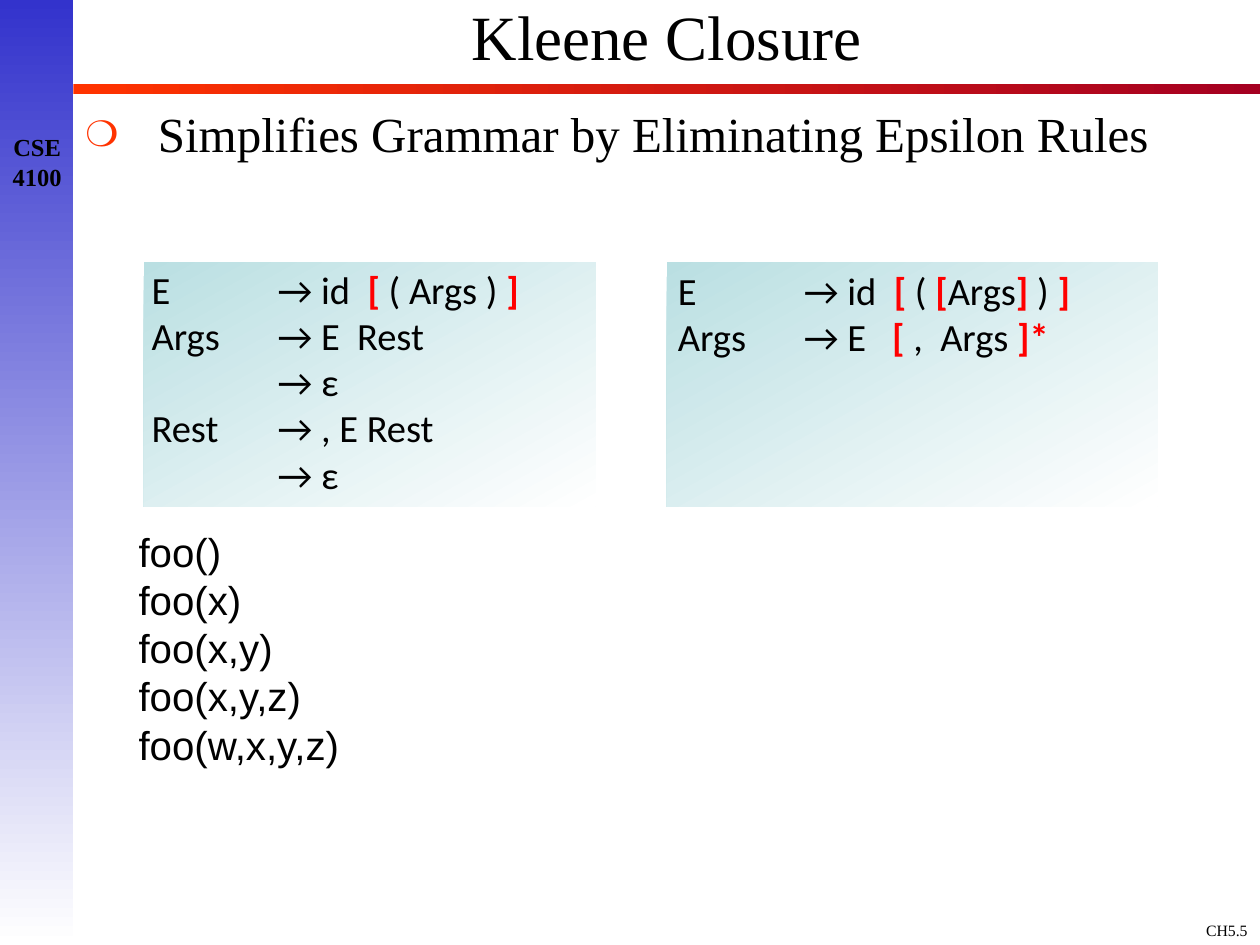
from dataclasses import dataclass
from typing import Any, Optional

from lxml.etree import SubElement
from pptx import Presentation
from pptx.dml.color import RGBColor as Color
from pptx.enum.shapes import MSO_SHAPE as Preset
from pptx.enum.text import MSO_ANCHOR as Anchor, MSO_AUTO_SIZE as AutoSize, PP_ALIGN as Align
from pptx.oxml.ns import qn
from pptx.util import Pt


@dataclass(frozen=True)
class Theme:
    """Colours, fonts and type sizes of the slide."""
    ink: str = "000000"
    accent: str = "FF0000"
    bullet: str = "FF3300"
    rule: tuple = ("FF3300", "A50021")
    sidebar: tuple = ("3333CC", "FFFFFF")
    panel: tuple = ("BADFE2", "FFFFFF")
    serif: str = "Times New Roman"
    grammar_font: str = "Calibri"
    sample_font: str = "Arial"
    title: float = 36
    body: float = 28
    sample: float = 23
    grammar: float = 22
    course: float = 14
    footer: float = 9


@dataclass(frozen=True)
class Box:
    """A rectangle in points."""
    left: float
    top: float
    width: float
    height: float

    def lengths(self) -> list:
        """Return the four lengths for a python-pptx call."""
        return [Pt(value) for value in (self.left, self.top, self.width, self.height)]


@dataclass(frozen=True)
class Band:
    """A rectangle filled with a two-colour gradient."""
    box: Box
    colors: tuple
    angle: float


@dataclass(frozen=True)
class Label:
    """Lines of text in which every second piece between bars is accented."""
    box: Box
    lines: tuple
    font: str
    size: float
    align: Align = Align.LEFT
    margins: tuple = (0, 0, 0, 0)
    indent: float = 0
    hanging: float = 0
    tabs: tuple = ()
    bullet: Optional[str] = None
    spacing: Any = None
    anchor: Anchor = Anchor.TOP


THEME = Theme()
INSETS = (7.2, 3.6, 7.2, 3.6)
GRAMMAR = {"font": THEME.grammar_font, "size": THEME.grammar,
           "margins": (0, 0, 2.9, 0), "indent": 2.9, "tabs": (0, 23, 64.8, 129.6)}

BANDS = (
    Band(Box(42, 48, 678, 6), THEME.rule, 0),
    Band(Box(0, 0, 41.8, 540), THEME.sidebar, 270),
    Band(Box(380.9, 149.8, 280.8, 139.7), THEME.panel, 299),
    Band(Box(82.1, 149.8, 258.5, 139.7), THEME.panel, 299),
)

TITLE = Label(Box(42, 0, 678, 48), ("Kleene Closure",), THEME.serif, THEME.title,
              Align.CENTER, INSETS, spacing=0.8, anchor=Anchor.MIDDLE)

LABELS = (
    Label(Box(637.2, 522.7, 82.8, 17.3), ("CH5.5",), THEME.serif, THEME.footer,
          Align.RIGHT, INSETS),
    Label(Box(0, 72, 42.5, 41), ("CSE", "4100"), THEME.serif, THEME.course,
          Align.CENTER, (0, 3.6, 0, 3.6)),
    Label(Box(42, 59.8, 678, 449), ("Simplifies Grammar by Eliminating Epsilon Rules",),
          THEME.serif, THEME.body, margins=INSETS, indent=41.2, hanging=41.2, bullet="❍",
          spacing=0.89),
    Label(Box(384.5, 152.6, 273.6, 59),
          ("E\t\t→ id  |[| ( |[|Args|]| ) |]", "Args\t→ E   |[ |,  Args |]*"), **GRAMMAR),
    Label(Box(83.8, 151.9, 241.9, 136),
          ("E\t\t→ id  |[| ( Args ) |]", "Args\t→ E  Rest", "\t\t→ ε",
           "Rest\t→ , E Rest", "\t\t→ ε"), **GRAMMAR),
    Label(Box(79.2, 301, 118, 138.2),
          ("foo()", "foo(x)", "foo(x,y)", "foo(x,y,z)", "foo(w,x,y,z)"),
          THEME.sample_font, THEME.sample, spacing=Pt(27.6)),
)


def apply_format(target: Any, values: dict) -> None:
    """Set each named attribute on the target."""
    for name, value in values.items():
        setattr(target, name, value)


def draw_band(slide: Any, band: Band) -> None:
    """Draw a borderless gradient rectangle."""
    shape = slide.shapes.add_shape(Preset.RECTANGLE, *band.box.lengths())
    shape.shadow.inherit = False
    shape.line.fill.background()
    shape.fill.gradient()
    shape.fill.gradient_angle = band.angle
    for stop, color in zip(shape.fill.gradient_stops, band.colors):
        stop.color.rgb = Color.from_string(color)


def format_paragraph(paragraph: Any, label: Label) -> None:
    """Set indents, bullet, tab stops, alignment and spacing."""
    properties = paragraph._p.get_or_add_pPr()
    properties.set("marL", str(Pt(label.indent)))
    properties.set("indent", str(-Pt(label.hanging)))
    if label.bullet:
        color = SubElement(properties, qn("a:buClr"))
        SubElement(color, qn("a:srgbClr"), val=THEME.bullet)
        SubElement(properties, qn("a:buSzPct"), val="75000")
        SubElement(properties, qn("a:buFont"), typeface=label.font)
        SubElement(properties, qn("a:buChar"), char=label.bullet)
    if label.tabs:
        stops = SubElement(properties, qn("a:tabLst"))
        for position in label.tabs:
            SubElement(stops, qn("a:tab"), pos=str(Pt(position)), algn="l")
    apply_format(paragraph, {"alignment": label.align, "line_spacing": label.spacing,
                             "space_before": Pt(0)})


def write_label(shape: Any, label: Label) -> None:
    """Write and format the label's lines in a shape."""
    frame = shape.text_frame
    left, top, right, bottom = (Pt(margin) for margin in label.margins)
    apply_format(frame, {"word_wrap": True, "auto_size": AutoSize.NONE,
                         "vertical_anchor": label.anchor,
                         "margin_left": left, "margin_top": top,
                         "margin_right": right, "margin_bottom": bottom})
    for number, line in enumerate(label.lines):
        paragraph = frame.add_paragraph() if number else frame.paragraphs[0]
        format_paragraph(paragraph, label)
        for position, piece in enumerate(line.split("|")):
            accented = position % 2 == 1
            run = paragraph.add_run()
            run.text = piece
            apply_format(run.font, {"name": label.font, "size": Pt(label.size),
                                    "bold": accented or label.size == THEME.course})
            run.font.color.rgb = Color.from_string(THEME.accent if accented else THEME.ink)


def main() -> None:
    """Build and save the slide."""
    presentation = Presentation()
    apply_format(presentation, {"slide_width": Pt(720), "slide_height": Pt(540)})
    slide = presentation.slides.add_slide(presentation.slide_layouts[5])
    for band in BANDS:
        draw_band(slide, band)
    title = slide.shapes.title
    apply_format(title, dict(zip(("left", "top", "width", "height"), TITLE.box.lengths())))
    write_label(title, TITLE)
    for label in LABELS:
        write_label(slide.shapes.add_textbox(*label.box.lengths()), label)
    presentation.save("out.pptx")


if __name__ == "__main__":
    main()
